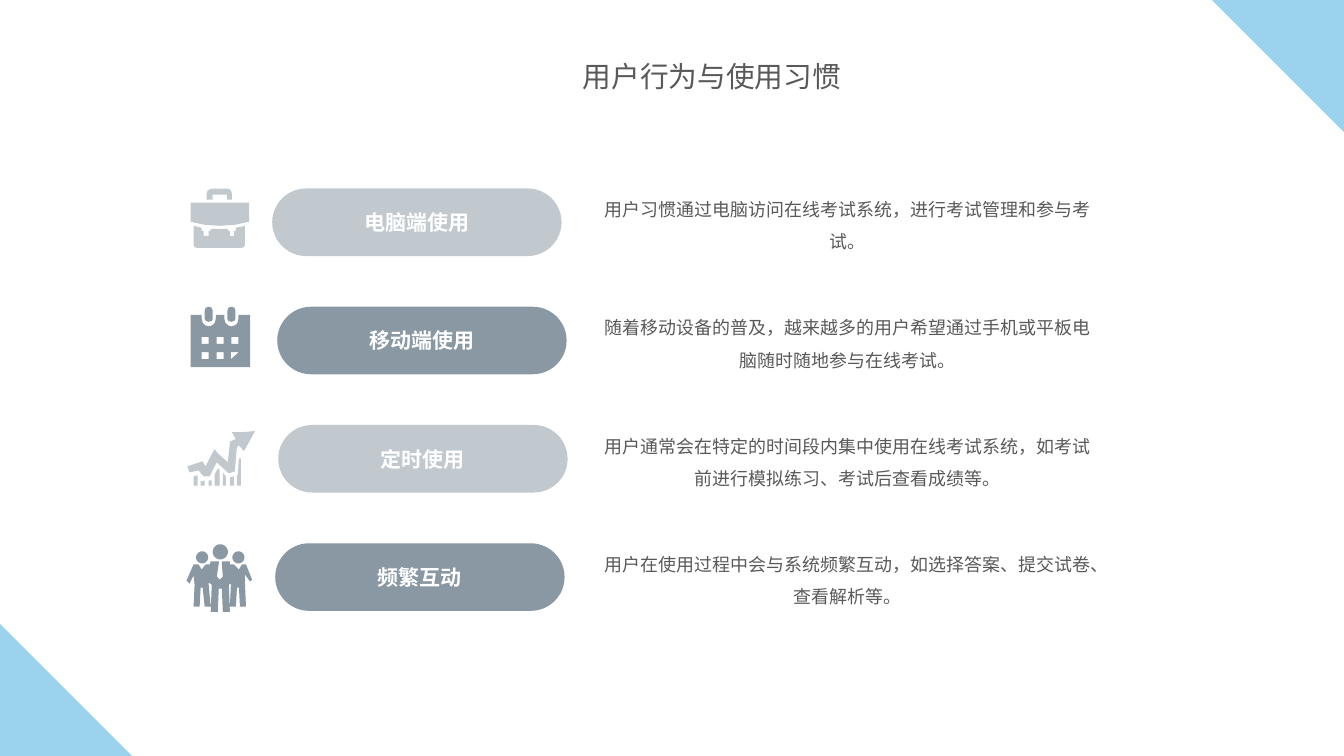
"""Build the slide on user behaviour and usage habits."""
import math
from dataclasses import dataclass

import pptx
import pptx.dml.color
import pptx.enum.shapes
import pptx.enum.text
import pptx.oxml.ns
import pptx.util
from pptx.util import Inches


@dataclass(frozen=True)
class Theme:
    font: str = "Noto Sans CJK SC"
    corner: str = "9BD3EF"
    light: str = "C1C9CE"
    dark: str = "8998A2"
    ink: str = "595959"
    white: str = "FFFFFF"
    title_size: float = 20.5
    label_size: float = 15
    detail_size: float = 12.8


THEME = Theme()
SHAPE = pptx.enum.shapes.MSO_SHAPE
ALIGN = pptx.enum.text.PP_ALIGN
ANCHOR = pptx.enum.text.MSO_ANCHOR


def shifted(outline, right, down=0):
    return [(x + right, y + down) for x, y in outline]


def disc(center_x, center_y, radius, steps=32):
    angles = [2 * math.pi * step / steps for step in range(steps)]
    return [(center_x + radius * math.cos(a), center_y + radius * math.sin(a)) for a in angles]


BRIEFCASE = [
    [(58, 37), (58, 56), (57, 58), (54, 59), (10, 59), (8, 58), (7, 56), (7, 37),
     (15, 39), (15, 42), (17, 42), (17, 47), (22, 47), (22, 42), (24, 42), (24, 40),
     (41, 40), (41, 42), (43, 42), (43, 47), (47, 47), (47, 42), (49, 42), (49, 39)],
    [(25, 0), (41, 0), (44, 2), (45, 5), (45, 11), (40, 11), (40, 6), (26, 6),
     (26, 11), (20, 11), (20, 5), (21, 2)],
    [(4, 14), (4, 33), (18, 36), (33, 37), (48, 36), (62, 33), (62, 14)],
]

RING_NOTCH = [(15, 8), (15, 12), (16, 16), (18.5, 18.5), (22, 19.5),
              (25.5, 18.5), (28, 16), (29, 12), (29, 8)]
RING = [(18, 12), (18, 4), (19, 1), (22, 0), (25, 1), (26, 4), (26, 12),
        (25, 14), (22, 15), (19, 14)]
DAY = [(15, 30), (22, 30), (22, 37), (15, 37)]
CALENDAR = [
    [(4, 8), *RING_NOTCH, *shifted(RING_NOTCH, 22.5), (63, 8), (63, 60), (4, 60)],
    *[shifted(DAY, 14.75 * column, 15 * week)
      for week, columns in enumerate((3, 2)) for column in range(columns)],
    [(44, 52), (44, 45), (52, 45)],
    RING,
    shifted(RING, 22.5),
]

GROWTH = [
    [(68, 6), (62, 17), (57, 26), (52, 20), (50, 22), (48, 46), (42, 48), (30, 37),
     (23, 51), (17, 51), (12, 45), (3, 47), (1, 41), (13, 37), (16, 36), (17, 38),
     (19, 41), (25, 29), (28, 24), (31, 28), (41, 37), (43, 19), (43, 17), (44, 16),
     (49, 14), (45, 7), (56, 7)],
    [(7, 60), (11, 60), (11, 50), (7, 51)],
    [(14, 60), (18, 60), (18, 55), (15, 56), (14, 55)],
    [(22, 60), (25, 60), (25, 55), (22, 55)],
    [(28, 60), (33, 60), (33, 45), (31, 43), (28, 49)],
    [(36, 60), (39, 60), (39, 51), (36, 47)],
    [(43, 60), (47, 60), (47, 51), (43, 52)],
    [(50, 60), (54, 60), (54, 33), (52, 33), (51, 49), (50, 50)],
]

TEAM = [
    disc(33.5, 8.5, 7.5),
    disc(15.5, 14, 6),
    disc(51.5, 14, 6),
    [(22, 39), (22, 41), (24, 63), (18, 63), (16, 44), (14, 44), (13, 63), (7, 63),
     (8, 41), (7, 32), (3, 40), (0, 37), (7, 21), (12, 21), (15, 26), (19, 21),
     (23, 21), (24, 18), (32, 18), (32, 20), (30, 33), (33, 36), (36, 33), (35, 20),
     (35, 18), (43, 18), (43, 21), (47, 21), (52, 26), (55, 21), (59, 21), (65, 36),
     (63, 38), (58, 31), (58, 41), (59, 63), (53, 63), (52, 44), (50, 44), (49, 63),
     (43, 63), (44, 41), (44, 40), (42, 41), (43, 68), (36, 68), (35, 45), (32, 45),
     (31, 68), (24, 68), (25, 41)],
]

TITLE = "用户行为与使用习惯"
HABITS = [
    ("电脑端使用", "用户习惯通过电脑访问在线考试系统，进行考试管理和参与考试。",
     BRIEFCASE, THEME.light, 2.7),
    ("移动端使用", "随着移动设备的普及，越来越多的用户希望通过手机或平板电脑随时随地参与在线考试。",
     CALENDAR, THEME.dark, 2.75),
    ("定时使用", "用户通常会在特定的时间段内集中使用在线考试系统，如考试前进行模拟练习、考试后查看成绩等。",
     GROWTH, THEME.light, 2.76),
    ("频繁互动", "用户在使用过程中会与系统频繁互动，如选择答案、提交试卷、查看解析等。",
     TEAM, THEME.dark, 2.73),
]
CORNERS = [(0, 6.19, 0), (12.02, 0, 180)]
CORNER_SIDE = 1.31
FIRST_TOP, LAST_TOP = 1.87, 5.39
ICON_LEFT = 1.85


def rgb(color):
    return pptx.dml.color.RGBColor.from_string(color)


def paint(shape, color):
    shape.shadow.inherit = False
    shape.fill.solid()
    shape.fill.fore_color.rgb = rgb(color)
    shape.line.fill.background()


def write(holder, text, size, color, align, anchor, bold=False, spacing=1.0):
    frame = holder.text_frame
    frame.word_wrap = True
    frame.auto_size = pptx.enum.text.MSO_AUTO_SIZE.NONE
    frame.vertical_anchor = anchor
    frame.text = text
    paragraph = frame.paragraphs[0]
    paragraph.alignment = align
    paragraph.line_spacing = spacing
    paragraph.space_before = pptx.util.Pt(0)
    font = paragraph.font
    font.name, font.size, font.bold = THEME.font, pptx.util.Pt(size), bold
    font.color.rgb = rgb(color)
    defaults = paragraph._p.pPr.find(pptx.oxml.ns.qn("a:defRPr"))
    east_asian = defaults.makeelement(pptx.oxml.ns.qn("a:ea"), {"typeface": THEME.font})
    defaults.find(pptx.oxml.ns.qn("a:latin")).addnext(east_asian)


def draw_icon(shapes, outlines, top, color):
    fine = [[(10 * x, 10 * y) for x, y in outline] for outline in outlines]
    builder = shapes.build_freeform(*fine[0][0], scale=Inches(1) / 1000)
    for index, outline in enumerate(fine):
        if index:
            builder.move_to(*outline[0])
        builder.add_line_segments(outline[1:], close=True)
    paint(builder.convert_to_shape(Inches(ICON_LEFT), Inches(top)), color)


def main():
    deck = pptx.Presentation()
    deck.slide_width, deck.slide_height = Inches(13.33), Inches(7.5)
    slide = deck.slides.add_slide(deck.slide_layouts[5])
    shapes = slide.shapes

    title = shapes.title
    title.left, title.top = Inches(5.68), Inches(0.6)
    title.width, title.height = Inches(2.83), Inches(0.57)
    write(title, TITLE, THEME.title_size, THEME.ink, ALIGN.LEFT, ANCHOR.TOP, spacing=0.8)

    for left, top, turn in CORNERS:
        corner = shapes.add_shape(SHAPE.RIGHT_TRIANGLE, Inches(left), Inches(top),
                                  Inches(CORNER_SIDE), Inches(CORNER_SIDE))
        corner.rotation = turn
        paint(corner, THEME.corner)

    pitch = (LAST_TOP - FIRST_TOP) / (len(HABITS) - 1)
    for row, (label, detail, icon, color, pill_left) in enumerate(HABITS):
        top = FIRST_TOP + row * pitch
        draw_icon(shapes, icon, top, color)
        pill = shapes.add_shape(SHAPE.ROUNDED_RECTANGLE, Inches(pill_left), Inches(top),
                                Inches(2.87), Inches(0.67))
        pill.adjustments[0] = 0.5
        paint(pill, color)
        write(pill, label, THEME.label_size, THEME.white, ALIGN.CENTER, ANCHOR.MIDDLE, bold=True)
        description = shapes.add_textbox(Inches(5.82), Inches(top + 0.01), Inches(5.17), Inches(0.61))
        write(description, detail, THEME.detail_size, THEME.ink, ALIGN.CENTER, ANCHOR.MIDDLE, spacing=1.5)

    deck.save("out.pptx")


if __name__ == "__main__":
    main()
